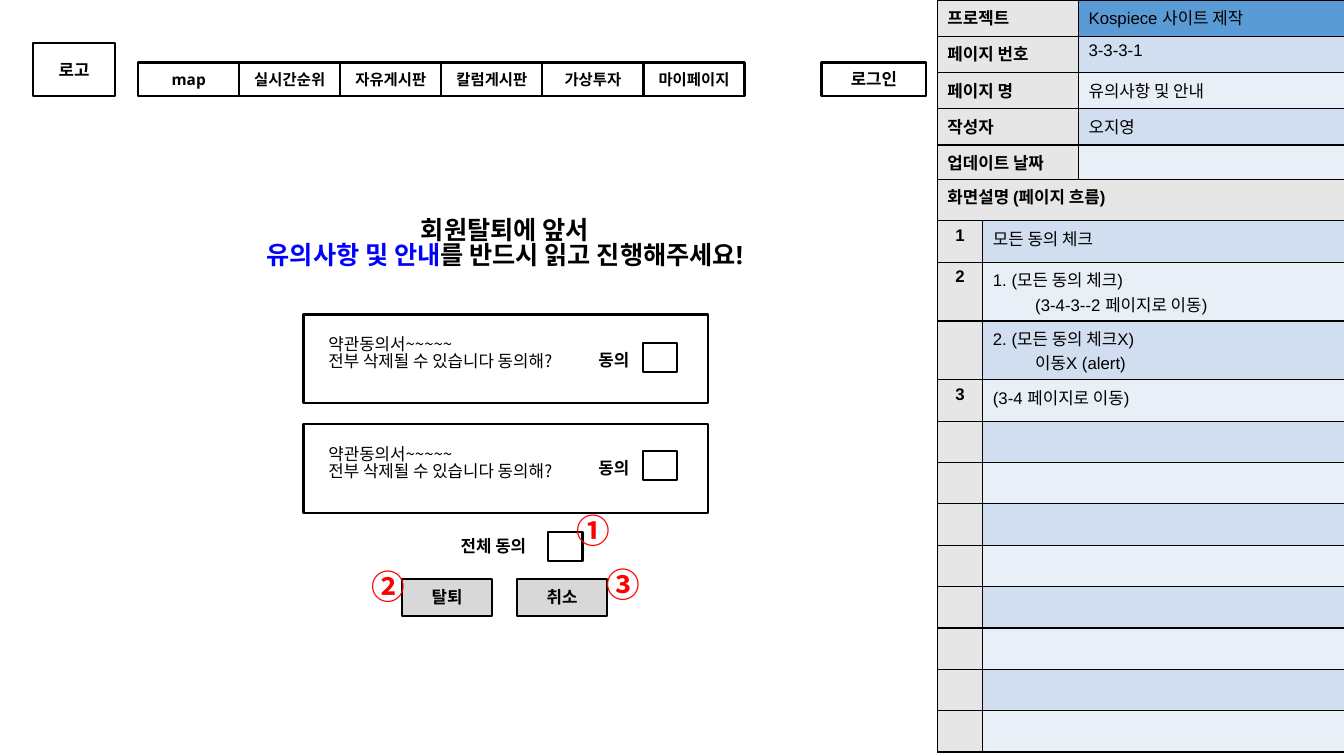
from dataclasses import dataclass

import lxml.etree
import pptx
import pptx.dml.color
import pptx.enum.shapes
import pptx.enum.text
import pptx.oxml.ns
import pptx.util

ALIGN = pptx.enum.text.PP_ALIGN
ANCHOR = pptx.enum.text.MSO_ANCHOR


@dataclass(frozen=True)
class Theme:
    black: str = "000000"
    blue: str = "0000FF"
    red: str = "FF0000"
    button: str = "D8D8D8"
    label: str = "E7E6E6"
    project: str = "5B9BD5"
    bands: tuple = ("E9EFF7", "D0DEEF")
    table_font: str = "Arial"
    ui_font: str = "Open Sans"
    korean_font: str = "Noto Sans CJK KR"
    headline: int = 18
    body: int = 12
    menu: int = 11
    marker: int = 24
    outline: float = 1.5
    tight: float = 0.83


THEME = Theme()
WIDTH = pptx.util.Inches(13.333)
HEIGHT = pptx.util.Inches(7.5)


# All lengths are percentages of the slide's width or height.
def across(share):
    return round(WIDTH * share / 100)


def down(share):
    return round(HEIGHT * share / 100)


def place(left, top, width, height):
    return across(left), down(top), across(width), down(height)


def color(code):
    return pptx.dml.color.RGBColor.from_string(code)


def add_span(para, text, size=THEME.body, font=THEME.ui_font, ink=THEME.black, bold=True):
    span = para.add_run()
    span.text = text
    span.font.size = pptx.util.Pt(size)
    span.font.name = font
    span.font.bold = bold
    span.font.color.rgb = color(ink)
    east_asian = lxml.etree.SubElement(span.font._element, pptx.oxml.ns.qn("a:ea"))
    east_asian.set("typeface", THEME.korean_font)


def write(frame, lines, align=ALIGN.CENTER, spacing=None, **style):
    """Each line is a list of (text, colour) spans."""
    frame.word_wrap = True
    for number, line in enumerate(lines):
        para = frame.add_paragraph() if number else frame.paragraphs[0]
        para.alignment = align
        if spacing:
            para.line_spacing = spacing
        for text, ink in line:
            add_span(para, text, ink=ink, **style)


def add_box(page, area, text="", fill=None, size=THEME.body):
    box = page.shapes.add_shape(pptx.enum.shapes.MSO_SHAPE.RECTANGLE, *place(*area))
    box.shadow.inherit = False
    if fill:
        box.fill.solid()
        box.fill.fore_color.rgb = color(fill)
    else:
        box.fill.background()
    box.line.color.rgb = color(THEME.black)
    box.line.width = pptx.util.Pt(THEME.outline)
    if text:
        box.text_frame.vertical_anchor = ANCHOR.MIDDLE
        write(box.text_frame, [[(text, THEME.black)]], size=size)


def add_text(page, area, lines, anchor=ANCHOR.MIDDLE, **style):
    frame = page.shapes.add_textbox(*place(*area)).text_frame
    frame.vertical_anchor = anchor
    write(frame, lines, **style)


def add_check(page, left, top):
    add_box(page, (left, top, 2.55, 3.87))


def add_terms(page, panel_top, check_top):
    add_box(page, (22.58, panel_top, 30.08, 11.73))
    notice = ["약관동의서~~~~~", "전부 삭제될 수 있습니다 동의해?"]
    add_text(page, (23.7, panel_top + 2.4, 20.7, 6.67),
             [[(line, THEME.black)] for line in notice], ANCHOR.TOP,
             align=ALIGN.LEFT, spacing=THEME.tight, font=THEME.korean_font, bold=False)
    add_text(page, (43.28, check_top - 0.2, 4.8, 4.93), [[("동의", THEME.black)]])
    add_check(page, 47.85, check_top)


def add_marker(page, left, top, sign):
    add_text(page, (left, top, 4.5, 6.67), [[(sign, THEME.red)]], ANCHOR.TOP,
             align=ALIGN.LEFT, spacing=THEME.tight, size=THEME.marker, font=THEME.korean_font)


def add_border(cell):
    properties = cell._tc.get_or_add_tcPr()
    for side in ("lnL", "lnR", "lnT", "lnB"):
        line = lxml.etree.SubElement(properties, pptx.oxml.ns.qn("a:" + side), w="12700")
        fill = lxml.etree.SubElement(line, pptx.oxml.ns.qn("a:solidFill"))
        lxml.etree.SubElement(fill, pptx.oxml.ns.qn("a:srgbClr"), val=THEME.black)


def fill_cell(cell, text, fill, bold, align=ALIGN.LEFT):
    add_border(cell)
    cell.fill.solid()
    cell.fill.fore_color.rgb = color(fill)
    lines = [[(line, THEME.black)] for line in text.split("\n")] if text else []
    write(cell.text_frame, lines, align, font=THEME.table_font, bold=bold)
    paras = cell.text_frame.paragraphs
    if not text:
        lxml.etree.SubElement(paras[0]._p, pptx.oxml.ns.qn("a:endParaRPr"),
                              sz=str(THEME.body * 100))
    for para in paras[1:]:
        para._p.get_or_add_pPr().set("marL", str(pptx.util.Inches(0.42)))


def add_grid(page, top, columns, row_height, rows, first_fill, label_align=ALIGN.LEFT):
    area = place(69.75, top, sum(columns), row_height * len(rows))
    table = page.shapes.add_table(len(rows), len(columns), *area).table
    table.first_row = table.horz_banding = False
    for column, width in zip(table.columns, columns):
        column.width = across(width)
    for number, (label, value) in enumerate(rows):
        table.rows[number].height = down(row_height)
        band = THEME.bands[number % 2] if number else first_fill
        align = label_align if number else ALIGN.LEFT
        fill_cell(table.cell(number, 0), label, THEME.label, True, align)
        fill_cell(table.cell(number, 1), value, band, False)
    return table


def main():
    deck = pptx.Presentation()
    deck.slide_width, deck.slide_height = WIDTH, HEIGHT
    page = deck.slides.add_slide(deck.slide_layouts[6])

    # Page details
    add_grid(page, 0, (10.5, 19.8), 4.8, [
        ("프로젝트", "Kospiece 사이트 제작"),
        ("페이지 번호", "3-3-3-1"),
        ("페이지 명", "유의사항 및 안내"),
        ("작성자", "오지영"),
        ("업데이트 날짜", ""),
    ], THEME.project)

    # Screen description
    flow = [
        ("화면설명 (페이지 흐름)", ""),
        ("1", "모든 동의 체크"),
        ("2", "1. (모든 동의 체크)\n(3-4-3--2 페이지로 이동)"),
        ("", "2. (모든 동의 체크X)\n이동X (alert)"),
        ("3", "(3-4 페이지로 이동)"),
    ] + [("", "")] * 8
    table = add_grid(page, 23.73, (3.38, 26.92), 5.47, flow, THEME.label, ALIGN.CENTER)
    table.cell(0, 0).merge(table.cell(0, 1))

    # Top bar
    add_box(page, (2.48, 5.73, 6.08, 6.93), "로고")
    menu = ["map", "실시간순위", "자유게시판", "칼럼게시판", "가상투자", "마이페이지"]
    for number, name in enumerate(menu):
        add_box(page, (10.28 + 7.52 * number, 8.27, 7.52, 4.4), name, size=THEME.menu)
    add_box(page, (61.13, 8.27, 7.8, 4.4), "로그인")

    # Headline
    add_text(page, (16.05, 29.87, 43.05, 4.93), [
        [("회원탈퇴에 앞서", THEME.black)],
        [("유의사항 및 안내", THEME.blue), ("를 반드시 읽고 진행해주세요!", THEME.black)],
    ], size=THEME.headline, spacing=THEME.tight)

    # Terms and consent
    for panel_top, check_top in ((41.6, 45.33), (56.13, 59.6)):
        add_terms(page, panel_top, check_top)
    add_text(page, (31.8, 69.73, 9.83, 4.93), [[("전체 동의", THEME.black)]])
    add_check(page, 40.8, 70.4)

    # Buttons and numbered markers
    for left, name in ((29.93, "탈퇴"), (38.48, "취소")):
        add_box(page, (left, 76.53, 6.68, 4.93), name, THEME.button)
    for left, top, sign in ((42.15, 67.73, "①"), (26.93, 75.07, "②"), (44.4, 74.8, "③")):
        add_marker(page, left, top, sign)

    deck.save("out.pptx")


if __name__ == "__main__":
    main()
